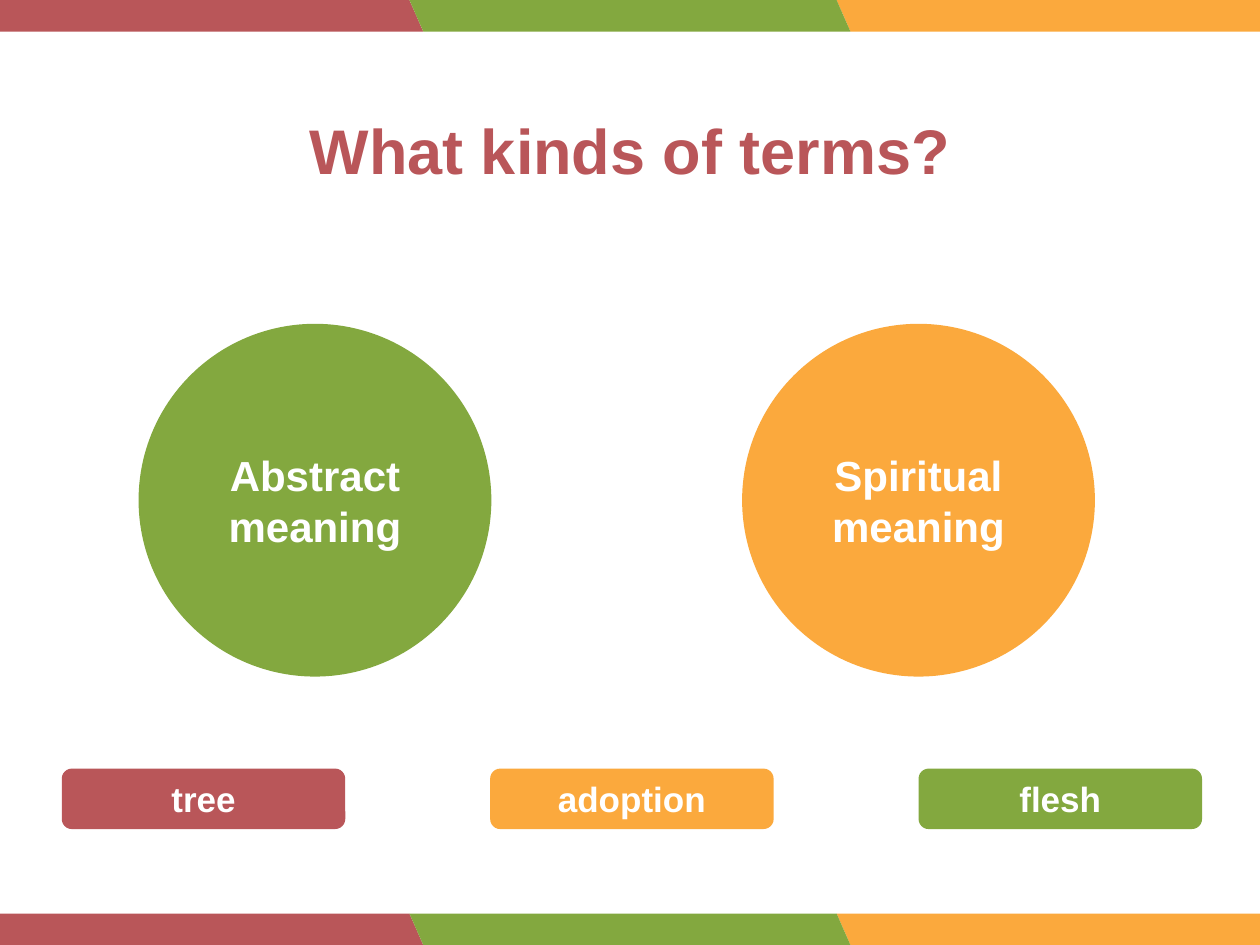
from pptx import Presentation
from pptx.dml.color import RGBColor
from pptx.enum.shapes import MSO_SHAPE as Kind
from pptx.enum.text import MSO_ANCHOR as Anchor, MSO_AUTO_SIZE as Fit, PP_ALIGN as Align
from pptx.util import Inches, Pt

RED = RGBColor(0xB9, 0x56, 0x59)
GREEN = RGBColor(0x83, 0xA8, 0x3F)
GOLD = RGBColor(0xFB, 0xA9, 0x3D)
WHITE = RGBColor(0xFF, 0xFF, 0xFF)

deck = Presentation()
deck.slide_width, deck.slide_height = Inches(10), Inches(7.5)
slide = deck.slides.add_slide(deck.slide_layouts[5])


def add_block(kind, left, top, width, height, fill):
    block = slide.shapes.add_shape(
        kind, Inches(left), Inches(top), Inches(width), Inches(height))
    block.shadow.inherit = False
    block.fill.solid()
    block.fill.fore_color.rgb = fill
    block.line.fill.background()
    return block


def set_text(shape, lines, size, color):
    frame = shape.text_frame
    frame.text = lines
    frame.word_wrap = True
    frame.auto_size = Fit.NONE
    frame.vertical_anchor = Anchor.MIDDLE
    for para in frame.paragraphs:
        para.alignment = Align.CENTER
        para.font.name = "Arial"
        para.font.size = Pt(size)
        para.font.bold = True
        para.font.color.rgb = color


# Slanted bands along the top and bottom edges
for top in (7.25, 0):
    for col, fill in ((2, GOLD), (0, RED), (1, GREEN)):
        band = add_block(Kind.PARALLELOGRAM, -0.14 + 3.39 * col, top, 3.5, 0.25, fill)
        band.adjustments[0] = 0.44
        band.element.spPr.get_or_add_xfrm().set("flipH", "1")

# Title
title = slide.shapes.title
title.left, title.top = Inches(0.18), Inches(0.83)
title.width, title.height = Inches(9.64), Inches(0.71)
set_text(title, "What kinds of terms?", 36, RED)

# Circles with the kinds of meaning
for left, label, fill in ((1.1, "Abstract meaning", GREEN),
                          (5.89, "Spiritual\nmeaning", GOLD)):
    disc = add_block(Kind.OVAL, left, 2.57, 2.8, 2.8, fill)
    set_text(disc, label, 24, WHITE)

# Row of example terms
for col, (term, fill) in enumerate((("tree", RED), ("adoption", GOLD), ("flesh", GREEN))):
    tag = add_block(Kind.ROUNDED_RECTANGLE, 0.49 + 3.4 * col, 6.1, 2.25, 0.48, fill)
    set_text(tag, term, 20, WHITE)

deck.save("out.pptx")
